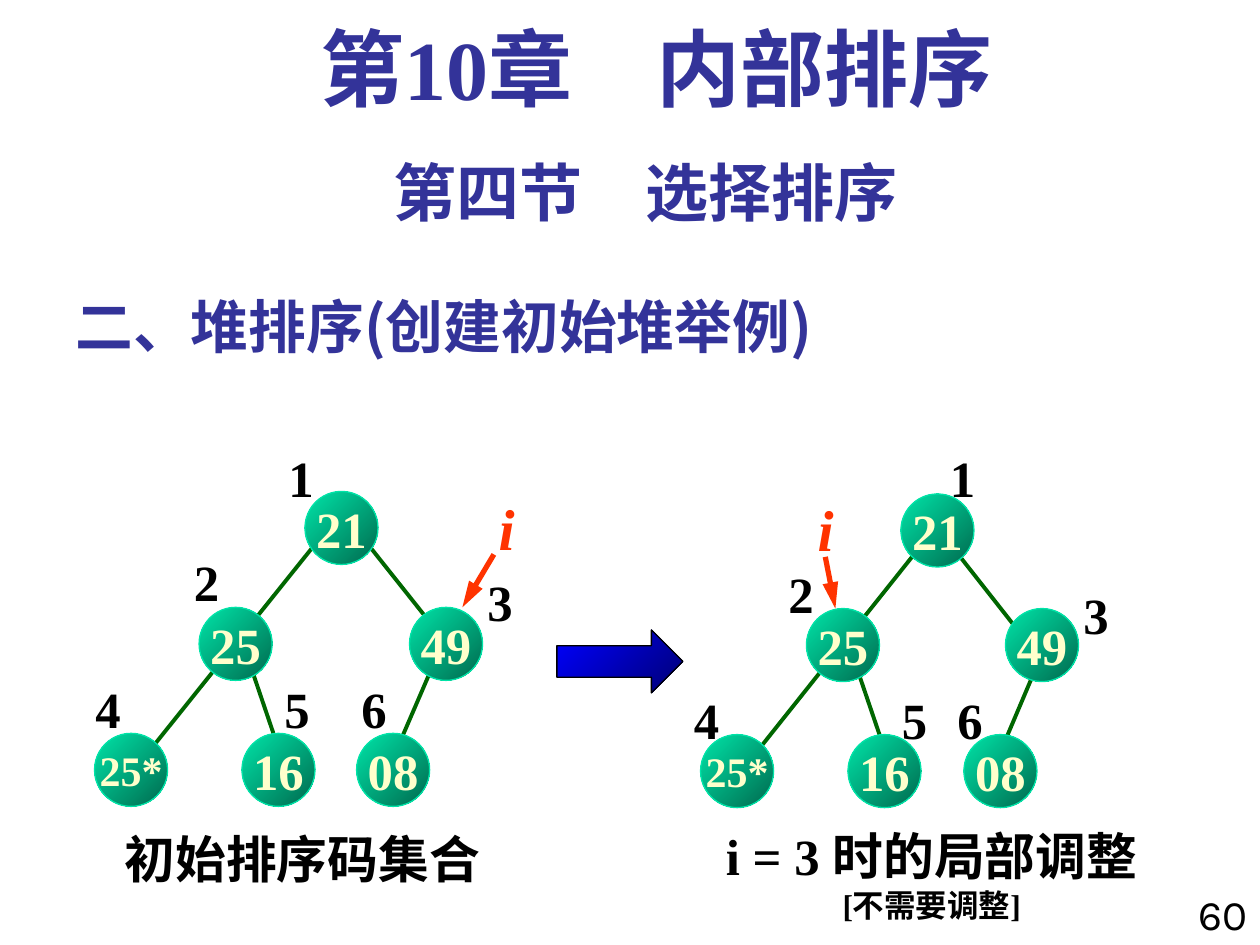
from dataclasses import dataclass

from lxml import etree
from pptx import Presentation
from pptx.dml.color import RGBColor
from pptx.enum.shapes import MSO_CONNECTOR, MSO_SHAPE
from pptx.enum.text import MSO_ANCHOR, MSO_AUTO_SIZE, PP_ALIGN
from pptx.oxml.ns import qn
from pptx.util import Inches, Pt

STRAIGHT = MSO_CONNECTOR.STRAIGHT
OVAL, RIGHT_ARROW = MSO_SHAPE.OVAL, MSO_SHAPE.RIGHT_ARROW
TOP, MIDDLE, BOTTOM = MSO_ANCHOR.TOP, MSO_ANCHOR.MIDDLE, MSO_ANCHOR.BOTTOM
LEFT, CENTER, RIGHT = PP_ALIGN.LEFT, PP_ALIGN.CENTER, PP_ALIGN.RIGHT
FIT, FIXED = MSO_AUTO_SIZE.SHAPE_TO_FIT_TEXT, MSO_AUTO_SIZE.NONE


@dataclass(frozen=True)
class Theme:
    heading: str = "333399"
    ink: str = "000000"
    node_text: str = "FFFFCC"
    node_light: str = "00E4A8"
    node_dark: str = "006A4E"
    edge: str = "006600"
    pointer: str = "FF3300"
    step_light: str = "0000FF"
    step_dark: str = "000076"
    serif: str = "Times New Roman"
    sans: str = "Karla"
    chinese: str = "Noto Sans CJK SC"
    chapter_size: int = 48
    section_size: int = 36
    topic_size: int = 33
    label_size: int = 29
    small_size: int = 24
    note_size: int = 18


theme = Theme()


def write(shape, text, *, size=theme.label_size, color=theme.ink, font=theme.serif,
          bold=True, italic=False, align=LEFT, anchor=TOP, wrap=False, fit=FIT, spacing=None):
    frame = shape.text_frame
    frame.word_wrap = wrap
    frame.auto_size = fit
    frame.vertical_anchor = anchor
    paragraph = frame.add_paragraph() if frame.text else frame.paragraphs[0]
    paragraph.alignment = align
    paragraph.line_spacing = spacing
    run = paragraph.add_run()
    run.text = text
    run.font.name = font
    run.font.size = Pt(size)
    run.font.bold = bold
    run.font.italic = italic
    run.font.color.rgb = RGBColor.from_string(color)
    etree.SubElement(run.font._element, qn("a:ea"), typeface=theme.chinese)


def add_gradient_shape(shapes, preset, box, light, dark, outline):
    shape = shapes.add_shape(preset, *map(Inches, box))
    shape.shadow.inherit = False
    shape.fill.gradient()
    shape.fill.gradient_angle = 315
    for stop, position, color in zip(shape.fill.gradient_stops, (0, 1), (light, dark)):
        stop.position = position
        stop.color.rgb = RGBColor.from_string(color)
    shape.line.color.rgb = RGBColor.from_string(outline)
    shape.line.width = Pt(0.75)
    return shape


presentation = Presentation()
presentation.slide_width, presentation.slide_height = Inches(10), Inches(7.5)
slide = presentation.slides.add_slide(presentation.slide_layouts[6])

headings = [
    ((0.5, 2.17, 6.25, 0.74), "二、堆排序(创建初始堆举例)",
     dict(size=theme.topic_size, font=theme.chinese, anchor=BOTTOM, fit=FIXED)),
    ((0.5, 1.17, 9.25, 0.7), "第四节　选择排序",
     dict(size=theme.section_size, font=theme.sans, align=CENTER)),
    ((0.67, 0.17, 9.08, 0.83), "第10章　内部排序",
     dict(size=theme.chapter_size, align=CENTER, fit=FIXED, spacing=0.9)),
]
for box, text, text_format in headings:
    heading = slide.shapes.add_textbox(*map(Inches, box))
    write(heading, text, color=theme.heading, wrap=True, **text_format)

page_number = slide.shapes.add_textbox(*map(Inches, (9.33, 7, 0.67, 0.58)))
write(page_number, "60", size=theme.small_size, font=theme.sans, bold=False, align=RIGHT, wrap=True)

node_size = 0.58
keys = ["21", "25", "49", "25*", "16", "08"]
trees = [
    dict(
        nodes=[(2.42, 3.9), (1.58, 4.82), (3.25, 4.82), (0.75, 5.82), (1.92, 5.82), (2.83, 5.82)],
        edges=[((3.42, 5.32), (3.17, 5.9)), ((2, 5.32), (2.17, 5.82)),
               ((2.92, 4.32), (3.58, 5.15)), ((2.5, 4.32), (1.17, 5.98))],
        indexes=[(2.19, 3.5), (1.44, 4.32), (3.77, 4.48), (0.66, 5.33), (2.16, 5.33), (2.77, 5.33)],
        pointer=((3.92, 4.4), (3.67, 4.82)),
        pointer_label=(3.86, 3.86),
    ),
    dict(
        nodes=[(7.15, 3.92), (6.4, 4.83), (7.98, 4.83), (5.56, 5.83), (6.73, 5.83), (7.65, 5.83)],
        edges=[((8.21, 5.33), (7.96, 5.92)), ((7.55, 4.33), (8.21, 5.17)),
               ((6.81, 5.33), (6.98, 5.83)), ((7.31, 4.33), (5.98, 6))],
        indexes=[(7.44, 3.5), (6.16, 4.42), (8.5, 4.58), (5.41, 5.42), (7.06, 5.42), (7.5, 5.42)],
        pointer=((6.55, 4.42), (6.63, 4.83)),
        pointer_label=(6.39, 3.87),
    ),
]
for tree in trees:
    group = slide.shapes.add_group_shape().shapes
    for start, end in tree["edges"] + [tree["pointer"]]:
        is_pointer = (start, end) == tree["pointer"]
        link = group.add_connector(STRAIGHT, *map(Inches, start + end))
        link.line.color.rgb = RGBColor.from_string(theme.pointer if is_pointer else theme.edge)
        link.line.width = Pt(3 if is_pointer else 2.25)
        properties = link._element.spPr
        if is_pointer:
            etree.SubElement(properties.find(qn("a:ln")), qn("a:tailEnd"),
                             type="triangle", w="med", len="lg")
        etree.SubElement(properties, qn("a:effectLst"))

    for key, corner in zip(keys, tree["nodes"]):
        node = add_gradient_shape(group, OVAL, (*corner, node_size, node_size),
                                  theme.node_light, theme.node_dark, theme.node_light)
        write(node, key, size=theme.small_size if len(key) > 2 else theme.label_size,
              color=theme.node_text, align=CENTER, anchor=MIDDLE, fit=FIXED)

    for number, corner in enumerate(tree["indexes"], start=1):
        index = group.add_textbox(*map(Inches, (*corner, 0.4, 0.58)))
        write(index, str(number))

    pointer_label = group.add_textbox(*map(Inches, (*tree["pointer_label"], 0.33, 0.65)))
    write(pointer_label, "i", size=theme.topic_size, color=theme.pointer, italic=True)

initial_caption = slide.shapes.add_textbox(*map(Inches, (0.89, 6.52, 3.03, 0.58)))
write(initial_caption, "初始排序码集合")

adjusted_caption = slide.shapes.add_textbox(*map(Inches, (5.61, 6.5, 3.57, 0.88)))
write(adjusted_caption, "i = 3 时的局部调整", align=CENTER)
write(adjusted_caption, "[不需要调整]", size=theme.note_size, align=CENTER)

add_gradient_shape(slide.shapes, RIGHT_ARROW, (4.42, 5, 1, 0.5),
                   theme.step_light, theme.step_dark, theme.ink)

presentation.save("out.pptx")
